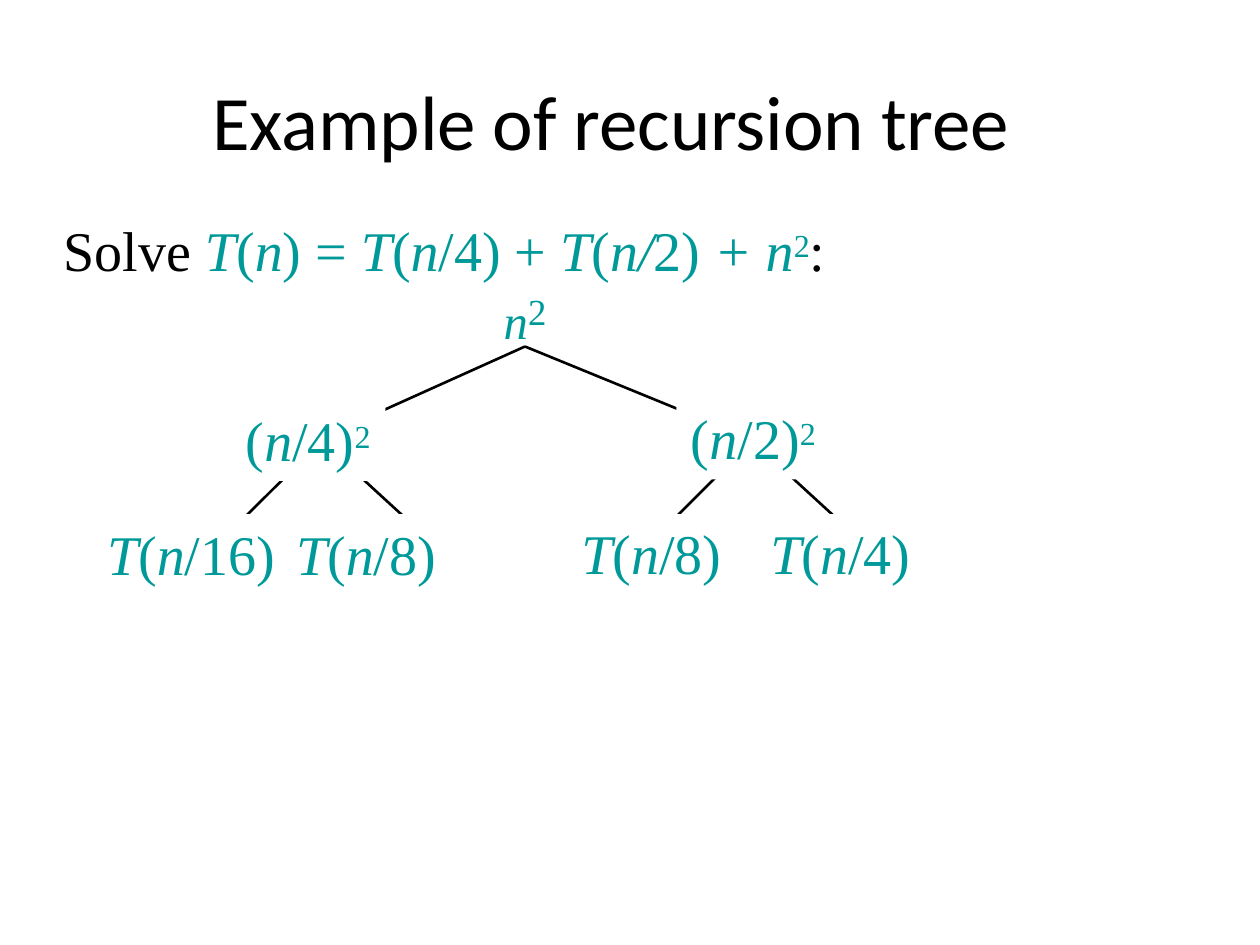
import pptx
import pptx.util
import pptx.dml.color
import pptx.enum.shapes
import pptx.enum.text
import lxml.etree

Pt = pptx.util.Pt
Align = pptx.enum.text.PP_ALIGN
Anchor = pptx.enum.text.MSO_ANCHOR
BLACK = pptx.dml.color.RGBColor(0, 0, 0)
WHITE = pptx.dml.color.RGBColor(255, 255, 255)
TEAL = pptx.dml.color.RGBColor(0, 0x99, 0x99)

TITLE = "Example of recursion tree"
FORMULA = [
    ("Solve ", BLACK),
    ("*T*(*n*) = *T*(*n*/4) + *T*(*n/*2) *+ n*^2^", TEAL),
    (":", BLACK),
]
EDGES = [
    ((300, 198), [(180, 252), (432, 252)]),
    ((183.6, 252), [(117.4, 318), (255.6, 318)]),
    ((429.8, 252), [(363.6, 318), (501.8, 318)]),
]
MASK_HEIGHT = 45.8
MASKS = [
    [(54, 293.8, 110.2), (133.2, 229, 87.1), (192.2, 293.8, 94.3), (386.6, 228.2, 87.1)],
    [(313.9, 293.8, 94.3), (444.2, 293.8, 94.3)],
]
SUBTREES = [
    {"box": (58.3, 231.1, 224, 105), "align": Align.LEFT, "tab": 141.1, "lines": [
        ("(*n*/4)^2^", 82.1, 0.9),
        ("*T*(*n*/16)\t*T*(*n*/8)", 2.9, 26.4)]},
    {"box": (318.2, 229.7, 216, 106.6), "align": Align.CENTER, "tab": 129.6, "lines": [
        ("(*n*/2)^2^", 8.6, 0.9),
        ("*T*(*n*/8)\t*T*(*n*/4)", 0, 27.5)]},
]


def place(shape, left, top, width, height):
    shape.left, shape.top = Pt(left), Pt(top)
    shape.width, shape.height = Pt(width), Pt(height)


def prepare_frame(shape, anchor):
    frame = shape.text_frame
    frame.auto_size = pptx.enum.text.MSO_AUTO_SIZE.NONE
    frame.word_wrap = True
    frame.vertical_anchor = anchor
    frame.margin_top = Pt(0.9)
    frame.margin_left = frame.margin_right = frame.margin_bottom = Pt(0)
    return frame


def format_paragraph(paragraph, alignment, indent, space_before):
    paragraph.alignment = alignment
    paragraph.space_before = Pt(space_before)
    properties = paragraph._p.get_or_add_pPr()
    properties.set("marL", str(Pt(indent)))
    properties.set("indent", "0")
    lxml.etree.SubElement(properties, pptx.oxml.ns.qn("a:buNone"))
    return properties


def add_run(paragraph, text, color, size=32, italic=False, baseline=0, spacing=0):
    run = paragraph.add_run()
    run.text = text
    run.font.name = "Times New Roman"
    run.font.size = Pt(size)
    run.font.italic = italic
    run.font.color.rgb = color
    if baseline:
        run.font._element.set("baseline", str(baseline * 1000))
    if spacing:
        run.font._element.set("spc", str(spacing))


def add_math(paragraph, markup, color, spacing=0):
    for i, part in enumerate(markup.split("*")):
        for j, text in enumerate(part.split("^")):
            if text:
                add_run(paragraph, text, color, 31.5 if j % 2 else 32, i % 2 == 1, 25 * (j % 2), spacing)


presentation = pptx.Presentation()
presentation.slide_width, presentation.slide_height = Pt(720), Pt(540)
slide = presentation.slides.add_slide(presentation.slide_layouts[1])

title = slide.shapes.title
place(title, 120.5, 40.3, 490, 55)
frame = prepare_frame(title, Anchor.MIDDLE)
frame.text = TITLE
paragraph = frame.paragraphs[0]
format_paragraph(paragraph, Align.LEFT, 0.9, 0.9)
font = paragraph.runs[0].font
font.name, font.size, font.color.rgb = "Calibri", Pt(44), BLACK
font._element.set("spc", "-10")

body = slide.placeholders[1]
place(body, 32.5, 123.2, 443, 77)
frame = prepare_frame(body, Anchor.TOP)
formula, root = frame.paragraphs[0], frame.add_paragraph()
for paragraph, indent, space in ((formula, 0, 0.9), (root, 92, 0)):
    format_paragraph(paragraph, Align.CENTER, indent, space)
    paragraph.line_spacing = Pt(37.6)
for markup, color in FORMULA:
    add_math(formula, markup, color, -5)
add_run(root, "n", TEAL, 48, True, -16)
add_run(root, "2", TEAL, 21)

for start, ends in EDGES:
    for end in ends:
        edge = slide.shapes.add_connector(
            pptx.enum.shapes.MSO_CONNECTOR.STRAIGHT, *map(Pt, start + end))
        edge.line.color.rgb = BLACK
        edge.line.width = Pt(1.5)
        lxml.etree.SubElement(edge._element.spPr, pptx.oxml.ns.qn("a:effectLst"))

for masks, subtree in zip(MASKS, SUBTREES):
    left, top, width = masks[0]
    builder = slide.shapes.build_freeform(Pt(left), Pt(top))
    for left, top, width in masks:
        right, bottom = left + width, top + MASK_HEIGHT
        builder.move_to(Pt(left), Pt(top))
        corners = [(right, top), (right, bottom), (left, bottom)]
        builder.add_line_segments([(Pt(x), Pt(y)) for x, y in corners], close=True)
    mask = builder.convert_to_shape()
    mask.fill.solid()
    mask.fill.fore_color.rgb = WHITE
    mask.line.fill.background()
    mask.shadow.inherit = False

    labels = slide.shapes.add_textbox(*map(Pt, subtree["box"]))
    frame = prepare_frame(labels, Anchor.TOP)
    for number, (markup, indent, space) in enumerate(subtree["lines"]):
        paragraph = frame.add_paragraph() if number else frame.paragraphs[0]
        properties = format_paragraph(paragraph, subtree["align"], indent, space)
        if "\t" in markup:
            tabs = lxml.etree.SubElement(properties, pptx.oxml.ns.qn("a:tabLst"))
            lxml.etree.SubElement(
                tabs, pptx.oxml.ns.qn("a:tab"), pos=str(Pt(subtree["tab"])), algn="l")
        add_math(paragraph, markup, TEAL, -5 * number)

presentation.save("out.pptx")
